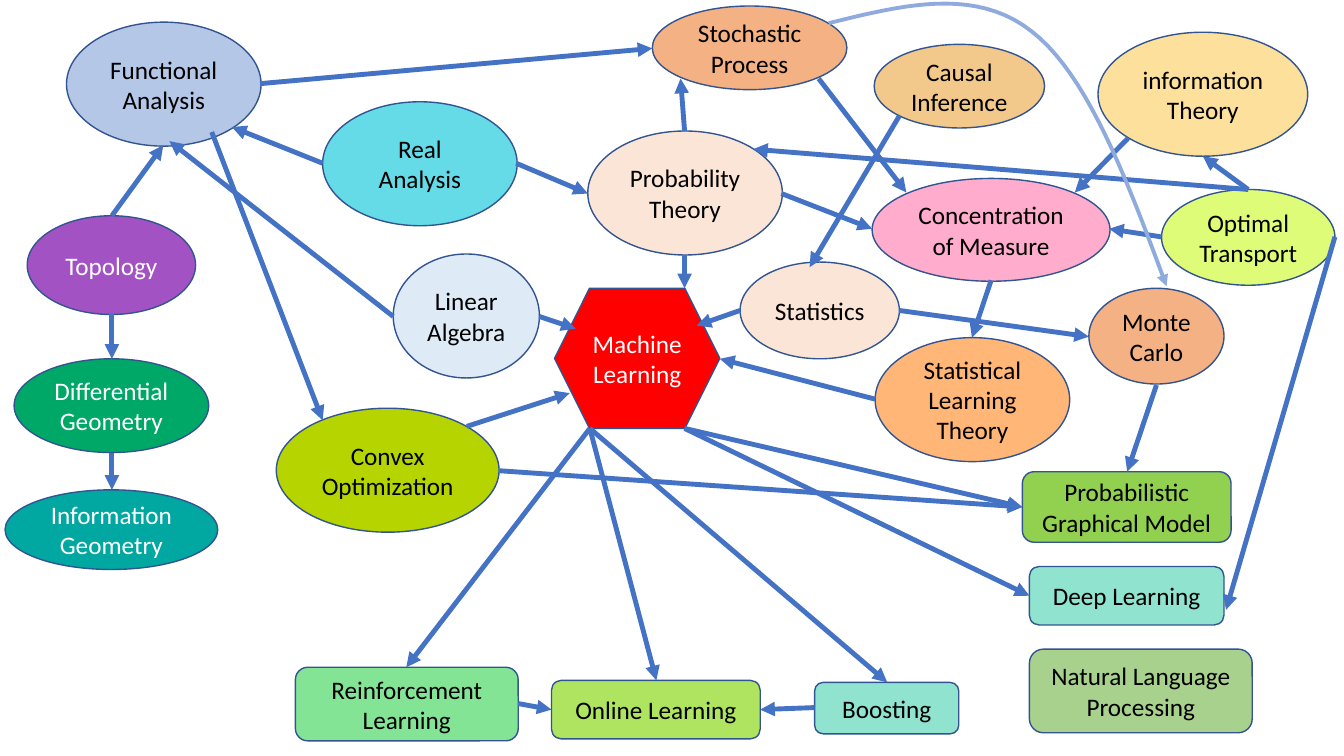
from pptx import Presentation
from pptx import util as u
from pptx.dml.color import RGBColor
from pptx.enum import shapes, text
from pptx.oxml import ns
from lxml import etree

BLACK = RGBColor(0x00, 0x00, 0x00)
WHITE = RGBColor(0xFF, 0xFF, 0xFF)
OUTLINE = RGBColor(0x32, 0x54, 0x91)
ARROW = RGBColor(0x44, 0x72, 0xC4)
CURVE = RGBColor(0x8F, 0xAA, 0xDC)
ICE = RGBColor(0xDE, 0xEB, 0xF7)
PEACH = RGBColor(0xFB, 0xE5, 0xD6)
SAGE = RGBColor(0xA9, 0xD1, 0x8E)
PERIWINKLE = RGBColor(0xB4, 0xC7, 0xE7)
CYAN = RGBColor(0x64, 0xDB, 0xE7)
CREAM = RGBColor(0xFC, 0xE0, 0x9C)
ORANGE = RGBColor(0xFF, 0xB6, 0x77)
RED = RGBColor(0xFF, 0x00, 0x00)
GREEN = RGBColor(0x00, 0xA8, 0x68)
PURPLE = RGBColor(0xA3, 0x52, 0xC4)
APRICOT = RGBColor(0xF4, 0xB1, 0x83)
SAND = RGBColor(0xF2, 0xC8, 0x8B)
PINK = RGBColor(0xFF, 0xAC, 0xCD)
OLIVE = RGBColor(0xB6, 0xD5, 0x00)
MINT = RGBColor(0x90, 0xE3, 0xCE)
SPRING = RGBColor(0x84, 0xE4, 0x95)
LIME = RGBColor(0xAF, 0xE4, 0x61)
LEAF = RGBColor(0x92, 0xD0, 0x50)
LEMON = RGBColor(0xDF, 0xFC, 0x79)
TEAL = RGBColor(0x00, 0xA8, 0xA1)

OVAL = shapes.MSO_SHAPE.OVAL
BOX = shapes.MSO_SHAPE.ROUNDED_RECTANGLE
HEXAGON = shapes.MSO_SHAPE.HEXAGON
FRAME_FORMAT = {"word_wrap": True, "vertical_anchor": text.MSO_ANCHOR.MIDDLE}
FONT_FORMAT = {"name": "Calibri", "size": u.Pt(18)}


def style_line(line, color, width):
    line.color.rgb = color
    line.width = u.Pt(width)


def add_arrowhead(stroke):
    etree.SubElement(stroke.line._get_or_add_ln(), ns.qn("a:tailEnd"), type="triangle")


deck = Presentation()
deck.slide_width, deck.slide_height = u.Inches(13.33), u.Inches(7.5)
mind_map = deck.slides.add_slide(deck.slide_layouts[6])

# Topics: label, shape, fill, text colour, (left, top, width, height)
topics = [
    ("Linear Algebra", OVAL, ICE, BLACK, (3.9, 2.52, 1.45, 1.23)),
    ("Probability Theory", OVAL, PEACH, BLACK, (5.83, 1.3, 1.93, 1.23)),
    ("Natural Language Processing", BOX, SAGE, BLACK, (10.21, 6.44, 2.21, 0.83)),
    ("Functional Analysis", OVAL, PERIWINKLE, BLACK, (0.66, 0.22, 1.93, 1.23)),
    ("Real Analysis", OVAL, CYAN, BLACK, (3.2, 1.01, 1.93, 1.23)),
    ("information Theory", OVAL, CREAM, BLACK, (10.89, 0.32, 2.08, 1.23)),
    ("Statistical Learning Theory", OVAL, ORANGE, BLACK, (8.68, 3.35, 1.93, 1.23)),
    ("Machine Learning", HEXAGON, RED, WHITE, (5.5, 2.86, 1.64, 1.39)),
    ("Differential Geometry", OVAL, GREEN, WHITE, (0.14, 3.56, 1.93, 0.93)),
    ("Topology", OVAL, PURPLE, WHITE, (0.27, 2.14, 1.67, 0.98)),
    ("Stochastic Process", OVAL, APRICOT, BLACK, (6.47, 0.06, 1.93, 0.83)),
    ("Statistics", OVAL, PEACH, BLACK, (7.34, 2.6, 1.58, 0.96)),
    ("Causal Inference", OVAL, SAND, BLACK, (8.67, 0.44, 1.69, 0.83)),
    ("Concentration of Measure", OVAL, PINK, BLACK, (8.65, 1.77, 2.36, 1.02)),
    ("Convex Optimization", OVAL, OLIVE, BLACK, (2.74, 4.05, 2.21, 1.23)),
    ("Deep Learning", BOX, MINT, BLACK, (10.21, 5.62, 1.93, 0.58)),
    ("Reinforcement Learning", BOX, SPRING, BLACK, (2.93, 6.62, 2.21, 0.73)),
    ("Online Learning", BOX, LIME, BLACK, (5.47, 6.75, 2.07, 0.58)),
    ("Probabilistic Graphical Model", BOX, LEAF, BLACK, (10.14, 4.68, 2.07, 0.7)),
    ("Boosting", BOX, MINT, BLACK, (8.08, 6.77, 1.43, 0.51)),
    ("Monte Carlo", OVAL, APRICOT, BLACK, (10.8, 2.86, 1.34, 0.95)),
    ("Optimal Transport", OVAL, LEMON, BLACK, (11.52, 1.88, 1.72, 0.95)),
    ("Information Geometry", OVAL, TEAL, WHITE, (0.05, 4.86, 2.11, 0.79)),
]
for label, outline, fill, ink, place in topics:
    topic = mind_map.shapes.add_shape(outline, *map(u.Inches, place))
    topic.shadow.inherit = False
    topic.fill.solid()
    topic.fill.fore_color.rgb = fill
    style_line(topic.line, OUTLINE, 1)
    for name, value in FRAME_FORMAT.items():
        setattr(topic.text_frame, name, value)
    paragraph = topic.text_frame.paragraphs[0]
    paragraph.alignment = text.PP_ALIGN.CENTER
    wording = paragraph.add_run()
    wording.text = label
    wording.font.color.rgb = ink
    for name, value in FONT_FORMAT.items():
        setattr(wording.font, name, value)

# Straight arrows: from x, y to x, y
links = [
    # Into Machine Learning
    (5.35, 3.14, 5.71, 3.26),
    (6.79, 2.53, 6.79, 2.86),
    (7.34, 3.08, 6.91, 3.23),
    (8.68, 3.96, 7.14, 3.56),
    (4.63, 4.23, 5.65, 3.9),
    # Out of Machine Learning
    (6.79, 4.25, 10.14, 5.03),
    (6.79, 4.25, 10.21, 5.91),
    (5.85, 4.25, 4.03, 6.62),
    (5.85, 4.25, 8.8, 6.77),
    (5.85, 4.25, 6.51, 6.75),
    # Between the learning methods
    (8.08, 7.02, 7.54, 7.04),
    (5.14, 6.98, 5.47, 7.04),
    # Analysis, algebra and geometry
    (5.12, 1.62, 5.83, 1.92),
    (2.58, 0.83, 6.47, 0.48),
    (3.2, 1.62, 2.3, 1.26),
    (3.9, 3.14, 1.68, 1.4),
    (1.11, 2.14, 1.62, 1.44),
    (2.1, 1.31, 3.2, 4.17),
    (1.11, 3.12, 1.11, 3.56),
    (1.11, 4.49, 1.11, 4.86),
    (4.95, 4.67, 10.14, 5.03),
    # Probability and statistics
    (6.79, 1.3, 6.75, 0.78),
    (7.75, 1.92, 8.65, 2.27),
    (9.83, 2.78, 9.64, 3.35),
    (8.92, 3.08, 10.8, 3.34),
    (11.47, 3.82, 11.18, 4.68),
    (8.12, 0.78, 8.99, 1.91),
    (11.19, 1.37, 10.66, 1.91),
    (8.92, 1.15, 8.03, 2.65),
    # Out of Optimal Transport
    (11.52, 2.35, 11, 2.27),
    (12.38, 1.88, 11.93, 1.55),
    (13.24, 2.35, 12.16, 6.05),
    (12.38, 1.88, 7.47, 1.48),
]
for ends in links:
    link = mind_map.shapes.add_connector(shapes.MSO_CONNECTOR.STRAIGHT, *map(u.Inches, ends))
    style_line(link.line, ARROW, 3.5)
    add_arrowhead(link)
    etree.SubElement(link._element.spPr, ns.qn("a:effectLst"))

# Curved arrow from Stochastic Process to Monte Carlo, two cubic Bezier spans
spans = [
    [(8.22, 0.23), (8.95, 0.05), (9.67, -0.13), (10.23, 0.31)],
    [(10.23, 0.31), (10.79, 0.74), (11.18, 1.79), (11.57, 2.84)],
]
STEPS = 20
bend = []
for span in spans:
    for step in range(1, STEPS + 1):
        t = step / STEPS
        weights = ((1 - t) ** 3, 3 * t * (1 - t) ** 2, 3 * t * t * (1 - t), t ** 3)
        bend.append([u.Inches(sum(w * c for w, c in zip(weights, axis))) for axis in zip(*span)])
builder = mind_map.shapes.build_freeform(*map(u.Inches, spans[0][0]))
builder.add_line_segments(bend, close=False)
sampling_link = builder.convert_to_shape()
sampling_link.shadow.inherit = False
sampling_link.fill.background()
style_line(sampling_link.line, CURVE, 2.75)
add_arrowhead(sampling_link)

deck.save("out.pptx")
